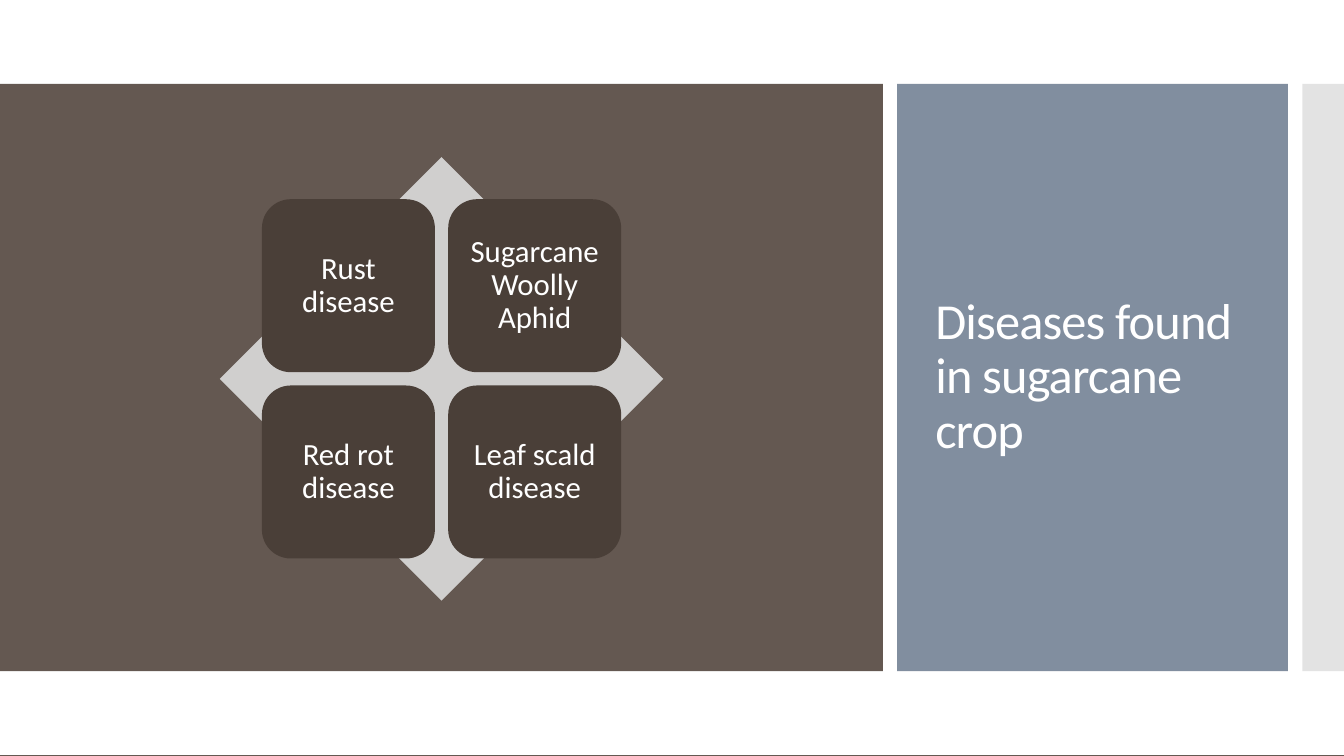
from lxml import etree
from pptx import Presentation
from pptx.dml.color import RGBColor
from pptx.enum import shapes, text
from pptx.oxml.ns import qn
from pptx.util import Pt

BROWN = RGBColor(0x64, 0x58, 0x51)
DARK_BROWN = RGBColor(0x4A, 0x3F, 0x38)
SLATE = RGBColor(0x81, 0x8E, 0x9F)
STRIP_GRAY = RGBColor(0xC8, 0xC8, 0xC8)
DIAMOND_GRAY = RGBColor(0xD0, 0xCF, 0xCE)
WHITE = RGBColor(0xFF, 0xFF, 0xFF)
FONT = "Calibri"
WIDTH, HEIGHT = 960, 540
BAND_TOP, BAND_HEIGHT = 59.9, 419.5
DISEASES = ["Rust disease", "Sugarcane Woolly Aphid",
            "Red rot disease", "Leaf scald disease"]


def add_block(s, kind, box, color, opacity=None):
    sp = s.shapes.add_shape(kind, *[Pt(v) for v in box])
    sp.shadow.inherit = False
    sp.fill.solid()
    sp.fill.fore_color.rgb = color
    sp.line.fill.background()
    if opacity is not None:
        clr = sp.fill._xPr.find(qn("a:solidFill"))[0]
        etree.SubElement(clr, qn("a:alpha")).set("val", str(opacity * 1000))
    return sp


def write_text(sp, words, size, align, inset):
    tf = sp.text_frame
    tf.word_wrap = True
    tf.vertical_anchor = text.MSO_ANCHOR.MIDDLE
    tf.margin_left = tf.margin_right = Pt(inset)
    tf.margin_top = tf.margin_bottom = Pt(inset)
    tf.text = words
    p = tf.paragraphs[0]
    p.alignment = align
    p.line_spacing = 0.9
    r = p.runs[0]
    r.font.name = FONT
    r.font.size = Pt(size)
    r.font.color.rgb = WHITE
    return r


def add_backdrop(s, box):
    s.background.fill.solid()
    s.background.fill.fore_color.rgb = BROWN
    add_block(s, shapes.MSO_SHAPE.RECTANGLE, box, WHITE)


def add_title_panel(s, box):
    x, y, w, h = box
    add_block(s, shapes.MSO_SHAPE.RECTANGLE, box, SLATE)
    pad_x, pad_y = 20.2, 28.8
    title = s.shapes.add_textbox(Pt(x + pad_x), Pt(y + pad_y),
                                 Pt(w - 2 * pad_x), Pt(h - 2 * pad_y))
    r = write_text(title, "Diseases found in sugarcane crop", 36,
                   text.PP_ALIGN.LEFT, 7.2)
    r._r.get_or_add_rPr().set("spc", "-60")


def add_disease_matrix(s, box):
    x, y, side, _ = box
    add_block(s, shapes.MSO_SHAPE.DIAMOND, box, DIAMOND_GRAY)
    margin, tile, pitch = 0.095 * side, 0.39 * side, 0.42 * side
    for i, disease in enumerate(DISEASES):
        row, col = divmod(i, 2)
        sp = add_block(s, shapes.MSO_SHAPE.ROUNDED_RECTANGLE,
                       (x + margin + col * pitch, y + margin + row * pitch,
                        tile, tile), DARK_BROWN)
        write_text(sp, disease, 22, text.PP_ALIGN.CENTER, 6.6)


def main():
    prs = Presentation()
    prs.slide_width, prs.slide_height = Pt(WIDTH), Pt(HEIGHT)
    s = prs.slides.add_slide(prs.slide_layouts[6])
    rect = shapes.MSO_SHAPE.RECTANGLE
    add_backdrop(s, (0, -0.7, WIDTH, HEIGHT))
    add_block(s, rect, (0, BAND_TOP, 630.7, BAND_HEIGHT), BROWN)
    add_title_panel(s, (640.8, BAND_TOP, 279.2, BAND_HEIGHT))
    add_block(s, rect, (930.2, BAND_TOP, WIDTH - 930.2, BAND_HEIGHT),
              STRIP_GRAY, 50)
    add_disease_matrix(s, (157, 112.2, 316.8, 316.8))
    prs.save("out.pptx")


if __name__ == "__main__":
    main()
